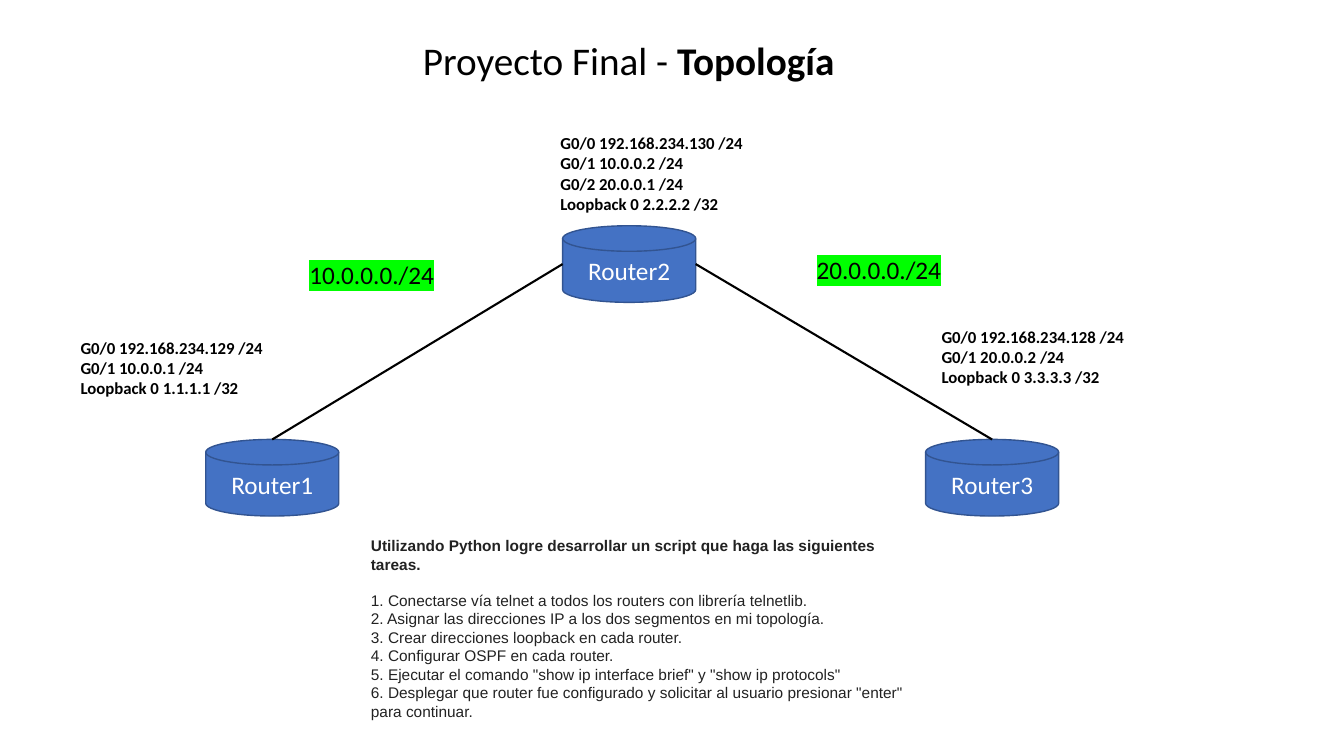
from lxml import etree
from pptx import Presentation, util as u
from pptx.dml.color import RGBColor
from pptx.enum import shapes, text
from pptx.oxml.ns import qn

PX = 9144  # EMU in one px: 100 px to the inch
ROUTER_W, ROUTER_H = 132, 76
BLACK, WHITE, BLUE, NAVY, GREY, GREEN = (
    "000000", "FFFFFF", "4472C4", "325491", "222222", "00FF00")

# Name: (router left, top), (interface list left, top), interfaces
ROUTERS = {
    "Router1": ((204, 436), (70, 330), [
        "G0/0 192.168.234.129 /24", "G0/1 10.0.0.1 /24", "Loopback 0 1.1.1.1 /32"]),
    "Router2": ((558, 224), (546, 127), [
        "G0/0 192.168.234.130 /24", "G0/1 10.0.0.2 /24", "G0/2 20.0.0.1 /24",
        "Loopback 0 2.2.2.2 /32"]),
    "Router3": ((918, 436), (924, 319), [
        "G0/0 192.168.234.128 /24", "G0/1 20.0.0.2 /24", "Loopback 0 3.3.3.3 /32"]),
}
NETWORKS = [("10.0.0.0./24", 297, 252), ("20.0.0.0./24", 800, 247)]
TASK_HEADING = ("Utilizando Python logre desarrollar un script "
                "que haga las siguientes tareas.")
TASKS = [
    "Conectarse vía telnet a todos los routers con librería telnetlib.",
    "Asignar las direcciones IP a los dos segmentos en mi topología.",
    "Crear direcciones loopback en cada router.",
    "Configurar OSPF en cada router.",
    'Ejecutar el comando "show ip interface brief" y "show ip protocols"',
    'Desplegar que router fue configurado y solicitar al usuario presionar '
    '"enter" para continuar.',
]


def px(*lengths):
    return [u.Emu(length * PX) for length in lengths]


def color(value):
    return RGBColor.from_string(value)


def style(para, size, ink=BLACK, bold=False, name="Calibri"):
    font = para.font
    font.name, font.size, font.bold = name, u.Pt(size), bold
    font.color.rgb = color(ink)


def add_text(page, box, lines, size, wrap=True, **look):
    frame = page.shapes.add_textbox(*px(*box)).text_frame
    frame.word_wrap = wrap
    frame.text = "\n".join(lines)
    for para in frame.paragraphs:
        style(para, size, **look)
    return frame.paragraphs


def add_title(page, box):
    para = add_text(page, box, ["Proyecto Final - "], 28)[0]
    para.alignment = text.PP_ALIGN.CENTER
    span = para.add_run()
    span.text = "Topología"
    span.font.bold = True


def add_router(page, box, name):
    disk = page.shapes.add_shape(
        shapes.MSO_SHAPE.FLOWCHART_MAGNETIC_DISK, *px(*box))
    disk.shadow.inherit = False
    disk.fill.solid()
    disk.fill.fore_color.rgb = color(BLUE)
    disk.line.color.rgb = color(NAVY)
    disk.line.width = u.Pt(1)
    frame = disk.text_frame
    frame.text = name
    frame.vertical_anchor = text.MSO_ANCHOR.MIDDLE
    para = frame.paragraphs[0]
    para.alignment = text.PP_ALIGN.CENTER
    style(para, 18, WHITE)


def add_link(page, start, end):
    link = page.shapes.add_connector(
        shapes.MSO_CONNECTOR.STRAIGHT, *px(*start, *end))
    link.line.color.rgb = color(BLACK)
    link.line.width = u.Pt(1.5)
    etree.SubElement(link._element.spPr, qn("a:effectLst"))


def add_network(page, box, address):
    para = add_text(page, box, [address], 18, wrap=False)[0]
    marker = etree.SubElement(para.runs[0].font._element, qn("a:highlight"))
    etree.SubElement(marker, qn("a:srgbClr"), val=GREEN)


def add_topology(page, box):
    left, top = box[:2]
    places = {}
    for name, (spot, notes, interfaces) in ROUTERS.items():
        x, y = places[name] = left + spot[0], top + spot[1]
        add_router(page, (x, y, ROUTER_W, ROUTER_H), name)
        add_text(page, (left + notes[0], top + notes[1], 241,
                        11 + 20 * len(interfaces)), interfaces, 12, bold=True)

    # Links run from the sides of Router2 to the tops of the others
    hub_x, hub_y = places["Router2"]
    for name, side in (("Router1", 0), ("Router3", ROUTER_W)):
        x, y = places[name]
        add_link(page, (hub_x + side, hub_y + ROUTER_H // 2),
                 (x + ROUTER_W // 2, y))

    for address, x, y in NETWORKS:
        add_network(page, (left + x, top + y, 145, 40), address)


def add_tasks(page, box):
    steps = [f"{number}. {task}" for number, task in enumerate(TASKS, 1)]
    heading = add_text(page, box, [TASK_HEADING] + steps, 11,
                       ink=GREY, name="Arial")[0]
    heading.font.bold = True
    heading.space_after = u.Pt(12.6)


def main():
    deck = Presentation()
    deck.slide_width, deck.slide_height = px(1333, 750)
    page = deck.slides.add_slide(deck.slide_layouts[6])
    add_title(page, (183, 31, 881, 57))
    add_topology(page, (0, 0, 1333, 520))
    add_tasks(page, (358, 527, 559, 226))
    deck.save("out.pptx")


if __name__ == "__main__":
    main()
